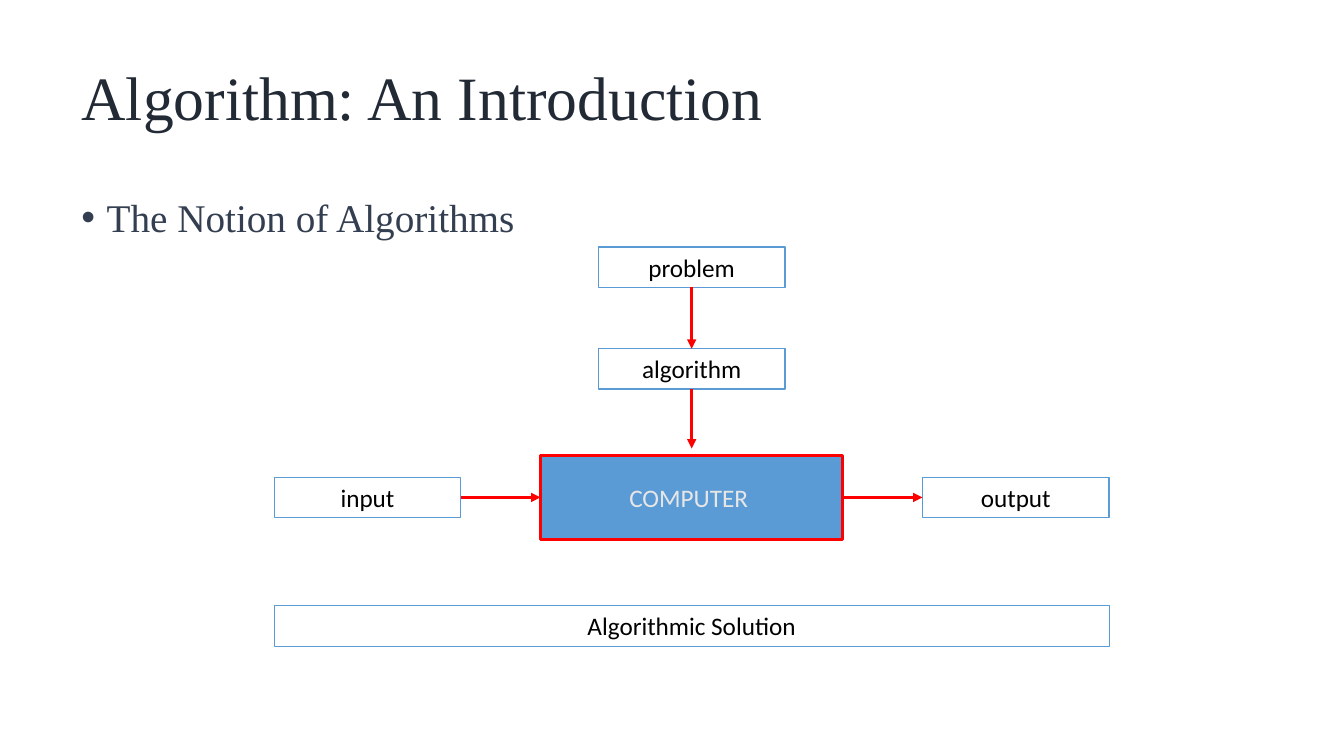
from dataclasses import dataclass

from lxml import etree
from pptx import Presentation
from pptx.dml.color import RGBColor
from pptx.enum.shapes import MSO_CONNECTOR, MSO_SHAPE
from pptx.enum.text import MSO_ANCHOR, PP_ALIGN
from pptx.oxml.ns import qn
from pptx.util import Inches, Pt

RECT = MSO_SHAPE.RECTANGLE
STRAIGHT = MSO_CONNECTOR.STRAIGHT
MIDDLE, TOP = MSO_ANCHOR.MIDDLE, MSO_ANCHOR.TOP
CENTER, LEFT = PP_ALIGN.CENTER, PP_ALIGN.LEFT
NORTH, WEST, SOUTH, EAST = range(4)


@dataclass(frozen=True)
class Theme:
    serif: str = "Times New Roman"
    sans: str = "Calibri"
    title: str = "222A35"
    body: str = "333F50"
    ink: str = "000000"
    pale: str = "E7E6E6"
    blue: str = "5B9BD5"
    red: str = "FF0000"
    big: int = 44
    mid: int = 28
    small: int = 18
    thick: float = 2.25
    thin: float = 1
    hair: float = 0.75


THEME = Theme()


def apply(item, values):
    for name, value in values.items():
        setattr(item, name, value)


def write(shape, text, font, size, color, align=LEFT, anchor=TOP, wrap=True, **para):
    frame = shape.text_frame
    apply(frame, {"word_wrap": wrap, "vertical_anchor": anchor})
    line = frame.paragraphs[0]
    apply(line, {"alignment": align, **para})
    run = line.add_run()
    apply(run, {"text": text})
    apply(run.font, {"name": font, "size": Pt(size)})
    run.font.color.rgb = RGBColor.from_string(color)
    return line


def stroke(line, color, width):
    line.color.rgb = RGBColor.from_string(color)
    line.width = Pt(width)


def heading(slide, box):
    shape = slide.shapes.add_textbox(*map(Inches, box))
    write(shape, "Algorithm: An Introduction", THEME.serif, THEME.big,
          THEME.title, anchor=MIDDLE, line_spacing=0.9)


def bullet(slide, box):
    shape = slide.shapes.add_textbox(*map(Inches, box))
    line = write(shape, "The Notion of Algorithms", THEME.serif, THEME.mid,
                 THEME.body, line_spacing=0.9, space_before=Pt(10))
    props = line._p.get_or_add_pPr()
    indent = Inches(0.25)
    props.set("marL", str(indent))
    props.set("indent", str(-indent))
    etree.SubElement(props, qn("a:buFont")).set("typeface", "Arial")
    etree.SubElement(props, qn("a:buChar")).set("char", "•")


def panel(slide, box, edge, width, fill=None):
    shape = slide.shapes.add_shape(RECT, *map(Inches, box))
    shape.shadow.inherit = False
    if fill:
        shape.fill.solid()
        shape.fill.fore_color.rgb = RGBColor.from_string(fill)
    else:
        shape.fill.background()
    stroke(shape.line, edge, width)
    return shape


def label(slide, text, box, width=THEME.thin):
    shape = panel(slide, box, THEME.blue, width)
    write(shape, text, THEME.sans, THEME.small, THEME.ink, CENTER)
    return shape


def arrow(slide, start, side, stop, goal=None):
    link = slide.shapes.add_connector(STRAIGHT, 0, 0, *map(Inches, stop))
    link.begin_connect(start, side)
    if goal:
        link.end_connect(*goal)
    stroke(link.line, THEME.red, THEME.thick)
    etree.SubElement(link.line._get_or_add_ln(), qn("a:tailEnd")).set("type", "triangle")
    etree.SubElement(link._element.spPr, qn("a:effectLst"))


def diagram(slide, box):
    left, top, width, height = box
    wide, high = 1.85, 0.4
    core_w, core_h = 3, 0.83
    center = left + width / 2
    core_y = top + 2.07
    row = core_y + (core_h - high) / 2

    core = panel(slide, (center - core_w / 2, core_y, core_w, core_h),
                 THEME.red, THEME.thick, THEME.blue)
    write(core, "COMPUTER ", THEME.sans, THEME.small, THEME.pale,
          CENTER, MIDDLE, False)

    spots = {
        "problem": (center - wide / 2, top),
        "algorithm": (center - wide / 2, top + 1.01),
        "input": (left, row),
        "output": (left + width - wide, row),
    }
    nodes = {text: label(slide, text, (*spot, wide, high))
             for text, spot in spots.items()}

    tip = (center, core_y - 0.07)
    arrow(slide, nodes["problem"], SOUTH, tip, (nodes["algorithm"], NORTH))
    arrow(slide, nodes["algorithm"], SOUTH, tip)
    arrow(slide, nodes["input"], EAST, tip, (core, WEST))
    arrow(slide, core, EAST, tip, (nodes["output"], WEST))

    label(slide, "Algorithmic Solution",
          (left, top + height - high, width, high), THEME.hair)


def main():
    deck = Presentation()
    apply(deck, {"slide_width": Inches(13.33), "slide_height": Inches(7.5)})
    slide = deck.slides.add_slide(deck.slide_layouts[6])
    heading(slide, (0.71, 0.35, 11.5, 1.29))
    bullet(slide, (0.71, 1.92, 11.5, 4.76))
    diagram(slide, (2.72, 2.45, 8.28, 3.96))
    deck.save("out.pptx")


if __name__ == "__main__":
    main()
